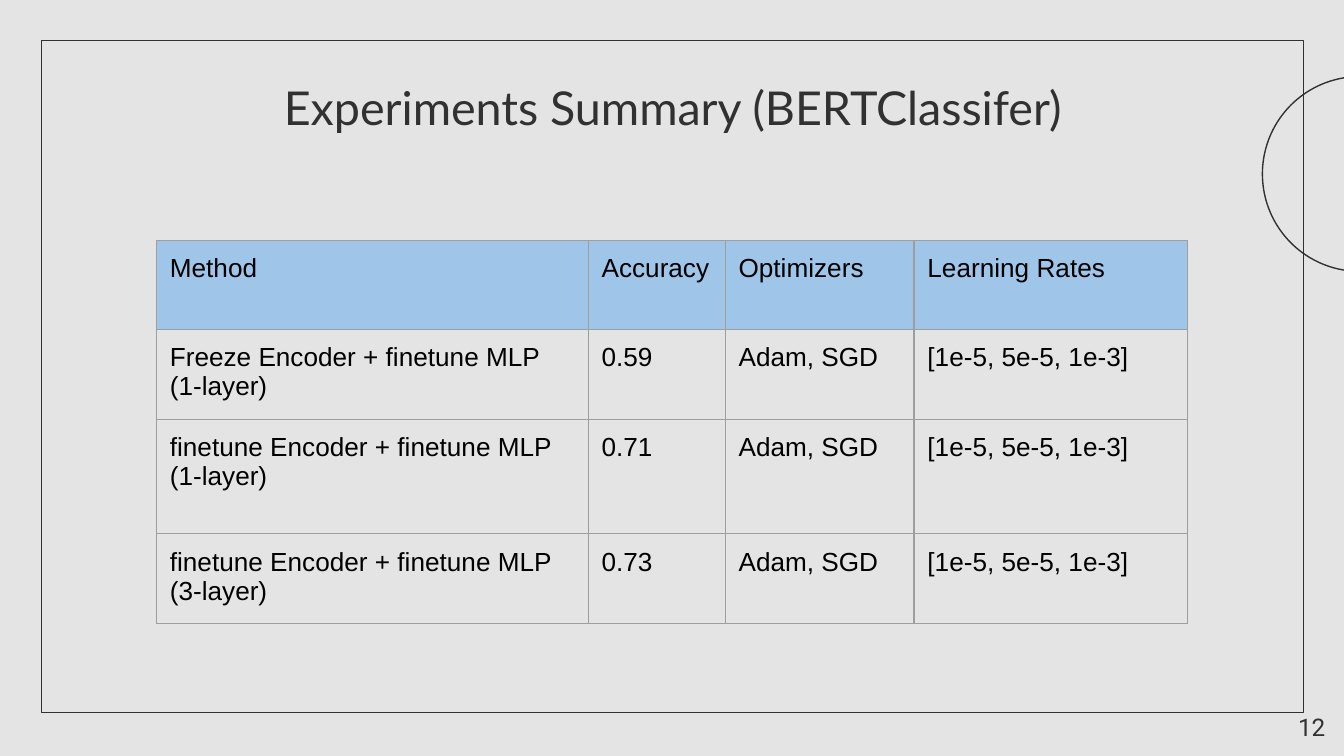
from lxml import etree
from pptx import Presentation
from pptx.dml.color import RGBColor
from pptx.enum.shapes import MSO_SHAPE
from pptx.enum.text import MSO_ANCHOR, PP_ALIGN
from pptx.oxml.ns import qn
from pptx.util import Pt

RECT, CHORD = MSO_SHAPE.RECTANGLE, MSO_SHAPE.CHORD
TOP, MIDDLE = MSO_ANCHOR.TOP, MSO_ANCHOR.MIDDLE
LEFT, CENTER, RIGHT = PP_ALIGN.LEFT, PP_ALIGN.CENTER, PP_ALIGN.RIGHT
COLORS = {"bg": "E4E4E4", "ink": "313131", "black": "000000",
          "header": "9FC5E8", "border": "9E9E9E"}
INSET = Pt(7.2)


def rgb(name):
    return RGBColor.from_string(COLORS[name])


def write(tf, text, size=14, font="Arial", color="black", align=LEFT):
    p = tf.paragraphs[0]
    p.alignment = align
    r = p.add_run()
    r.text = text
    r.font.size = Pt(size)
    r.font.name = font
    r.font.color.rgb = rgb(color)


prs = Presentation()
prs.slide_width, prs.slide_height = Pt(720), Pt(405)
s = prs.slides.add_slide(prs.slide_layouts[6])
s.background.fill.solid()
s.background.fill.fore_color.rgb = rgb("bg")

# Frame and half circle running off the right edge
frame = s.shapes.add_shape(RECT, Pt(22.3), Pt(21.6), Pt(676), Pt(360))
arc = s.shapes.add_shape(CHORD, Pt(676.3), Pt(41), Pt(104.4), Pt(104.4))
arc.adjustments[0], arc.adjustments[1] = 54, 162  # 90 to 270 degrees
for sp in (frame, arc):
    sp.shadow.inherit = False
    sp.fill.background()
    sp.line.color.rgb = rgb("ink")
    sp.line.width = Pt(0.75)

# Title and slide number
for box, anchor, text, size, font, align in (
    ((56.9, 35.3, 607, 40.3), TOP, "Experiments Summary (BERTClassifer)", 25, "Lato", CENTER),
    ((673.9, 373.7, 43.2, 31), MIDDLE, "12", 13, "Roboto", RIGHT),
):
    tf = s.shapes.add_textbox(*map(Pt, box)).text_frame
    tf.word_wrap = True
    tf.vertical_anchor = anchor
    tf.margin_left = tf.margin_right = tf.margin_top = tf.margin_bottom = INSET
    write(tf, text, size=size, font=font, color="ink", align=align)

# Results table
col_widths = [231.3, 73.4, 101.2, 146.5]
row_heights = [47.7, 47.7, 61.5, 47.7]
shared = ["Adam, SGD", "[1e-5, 5e-5, 1e-3]"]
rows = [
    ["Method", "Accuracy", "Optimizers", "Learning Rates"],
    ["Freeze Encoder + finetune MLP (1-layer)", "0.59", *shared],
    ["finetune Encoder + finetune MLP (1-layer)", "0.71", *shared],
    ["finetune Encoder + finetune MLP (3-layer)", "0.73", *shared],
]
table = s.shapes.add_table(len(rows), len(col_widths), Pt(83.8), Pt(128.8),
                           Pt(sum(col_widths)), Pt(sum(row_heights))).table
table.horz_banding = False
for col, width in zip(table.columns, col_widths):
    col.width = Pt(width)
for i, (row, height) in enumerate(zip(rows, row_heights)):
    table.rows[i].height = Pt(height)
    for j, text in enumerate(row):
        cell = table.cell(i, j)
        cell.margin_left = cell.margin_right = INSET
        cell.margin_top = cell.margin_bottom = INSET
        write(cell.text_frame, text)
        # Borders come before the fill in the cell properties
        tcPr = cell._tc.get_or_add_tcPr()
        for side in ("lnL", "lnR", "lnT", "lnB"):
            ln = etree.SubElement(tcPr, qn(f"a:{side}"), w=str(Pt(0.75)))
            fill = etree.SubElement(ln, qn("a:solidFill"))
            etree.SubElement(fill, qn("a:srgbClr"), val=COLORS["border"])
        if i == 0:
            cell.fill.solid()
            cell.fill.fore_color.rgb = rgb("header")
        else:
            cell.fill.background()

prs.save("out.pptx")
